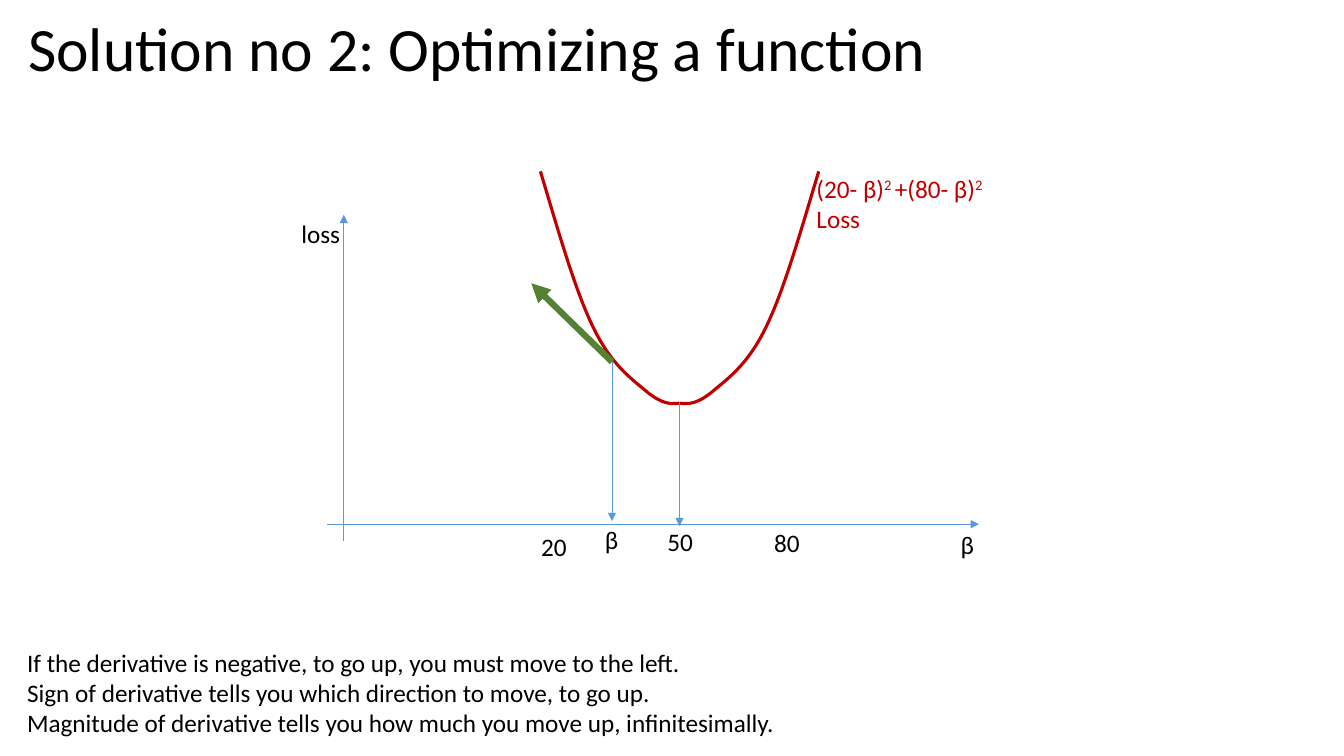
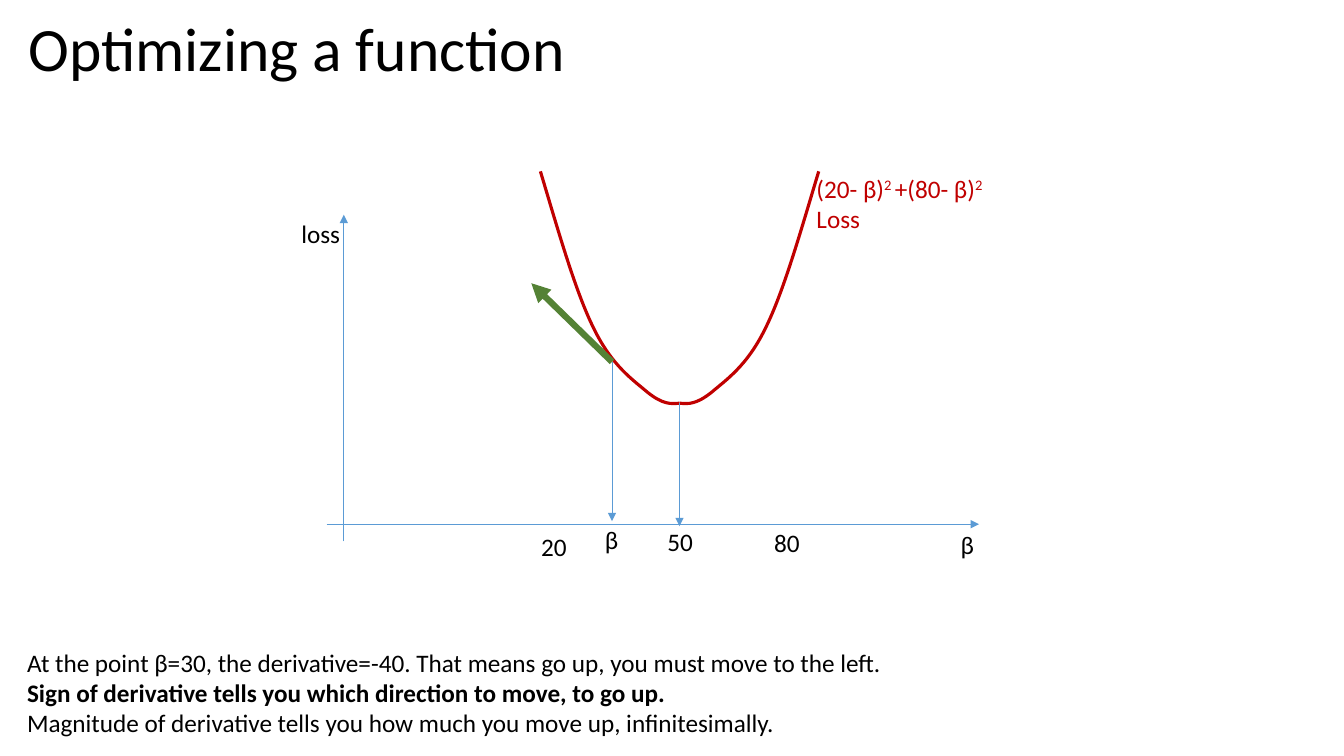
from dataclasses import dataclass

from lxml import etree
from pptx import Presentation, util as u
from pptx.dml import color as dml
from pptx.enum import shapes as es, text as et
from pptx.oxml import ns

FONT = "Calibri"
COLORS = {"ink": "000000", "axis": "5B9BD5", "curve": "C00000", "slope": "548235"}
MID = 6.74


@dataclass(frozen=True)
class Label:
    lines: tuple
    box: tuple
    color: str = "ink"
    wrap: bool = True


@dataclass(frozen=True)
class Arrow:
    start: tuple
    end: tuple
    color: str = "axis"
    width: float = 0.5


@dataclass(frozen=True)
class Page:
    title: str
    lead: str
    strong: bool = False


ARROWS = (
    Arrow((3.24, 5.2), (9.71, 5.2)),
    Arrow((3.41, 5.37), (3.41, 2.13)),
    Arrow((MID, 4), (MID, 5.22)),
    Arrow((6.07, 3.59), (6.07, 5.17)),
    Arrow((6.07, 3.59), (5.27, 2.81), "slope", 4.5),
)
LABELS = (
    Label(("β",), (9.43, 5.2, 0.52, 0.4)),
    Label(("loss",), (2.89, 2.12, 0.61, 0.4)),
    Label(("20",), (5.27, 5.22, 0.46, 0.4), wrap=False),
    Label(("80",), (7.58, 5.18, 0.46, 0.4), wrap=False),
    Label(("50",), (6.52, 5.17, 0.46, 0.4)),
    Label(("β",), (5.9, 5.15, 0.52, 0.4)),
    Label(("(20- β)^2 ^+(80- β)^2", "Loss"), (8, 1.67, 1.9, 0.71), "curve", False),
)
CURVE = (
    (5.36, 1.7),
    (5.54, 2.3), (5.71, 2.9), (5.89, 3.26),
    (6.07, 3.63), (6.28, 3.77), (6.42, 3.89),
    (6.57, 4.01), (6.65, 4.01), (MID, 4),
)
SIGN = "Sign of derivative tells you which direction to move, to go up."
SIZE = "Magnitude of derivative tells you how much you move up, infinitesimally."
PAGES = (
    Page("Solution no 2: Optimizing a function",
         "If the derivative is negative, to go up, you must move to the left."),
    Page("Optimizing a function",
         "At the point β=30, the derivative=-40. That means go up, you must move to the left.",
         True),
)


def rgb(name: str) -> dml.RGBColor:
    return dml.RGBColor.from_string(COLORS[name])


def write(frame, lines, *, size=18, color="ink", bold=(), space=1.0, wrap=True,
          fit=et.MSO_AUTO_SIZE.SHAPE_TO_FIT_TEXT, anchor=et.MSO_ANCHOR.TOP) -> None:
    frame.word_wrap = wrap
    frame.auto_size = fit
    frame.vertical_anchor = anchor
    for row, line in enumerate(lines):
        para = frame.add_paragraph() if row else frame.paragraphs[0]
        para.alignment = et.PP_ALIGN.LEFT
        para.line_spacing = space
        for part, words in enumerate(line.split("^")):
            if not words:
                continue
            run = para.add_run()
            run.text = words
            run.font.name = FONT
            run.font.size = u.Pt(size)
            run.font.bold = row in bold
            run.font.color.rgb = rgb(color)
            if part % 2:
                run.font._element.set("baseline", "30000")


def add_box(slide, box: tuple):
    return slide.shapes.add_textbox(*map(u.Inches, box)).text_frame


def add_title(slide, words: str) -> None:
    title = slide.shapes.title
    title.left, title.top, title.width, title.height = map(
        u.Inches, (0.18, -0.21, 11.5, 1.45))
    write(title.text_frame, (words,), size=44, space=0.9,
          fit=et.MSO_AUTO_SIZE.NONE, anchor=et.MSO_ANCHOR.MIDDLE)


def add_arrow(slide, arrow: Arrow) -> None:
    ends = map(u.Inches, arrow.start + arrow.end)
    link = slide.shapes.add_connector(es.MSO_CONNECTOR.STRAIGHT, *ends)
    link.line.color.rgb = rgb(arrow.color)
    link.line.width = u.Pt(arrow.width)
    props = link._element.spPr
    etree.SubElement(props.find(ns.qn("a:ln")), ns.qn("a:tailEnd"), type="triangle")
    etree.SubElement(props, ns.qn("a:effectLst"))


def add_curve(slide, points: list) -> None:
    first, *rest = [(u.Inches(x), u.Inches(y)) for x, y in points]
    pen = slide.shapes.build_freeform(*first, scale=1.0)
    pen.add_line_segments(rest, close=False)
    shape = pen.convert_to_shape()
    shape.fill.background()
    shape.line.color.rgb = rgb("curve")
    shape.line.width = u.Pt(2.25)
    shape.shadow.inherit = False
    steps = list(shape._element.iter(ns.qn("a:lnTo")))
    for at in range(0, len(steps), 3):
        bend = etree.SubElement(steps[at].getparent(), ns.qn("a:cubicBezTo"))
        for step in steps[at:at + 3]:
            bend.append(step[0])
            step.getparent().remove(step)


def add_graph(slide) -> None:
    for side in (CURVE, [(2 * MID - x, y) for x, y in CURVE]):
        add_curve(slide, side)
    for label in LABELS:
        write(add_box(slide, label.box), label.lines,
              color=label.color, wrap=label.wrap)
    for arrow in ARROWS:
        add_arrow(slide, arrow)


def add_page(deck, page: Page) -> None:
    slide = deck.slides.add_slide(deck.slide_layouts.get_by_name("Title Only"))
    add_title(slide, page.title)
    write(add_box(slide, (0.17, 6.37, 12.98, 1.31)), (page.lead, SIGN, SIZE),
          bold=(1,) if page.strong else (), fit=et.MSO_AUTO_SIZE.NONE)
    add_graph(slide)


def main() -> None:
    deck = Presentation()
    deck.slide_width, deck.slide_height = u.Inches(13.33), u.Inches(7.5)
    for page in PAGES:
        add_page(deck, page)
    deck.save("out.pptx")


if __name__ == "__main__":
    main()
